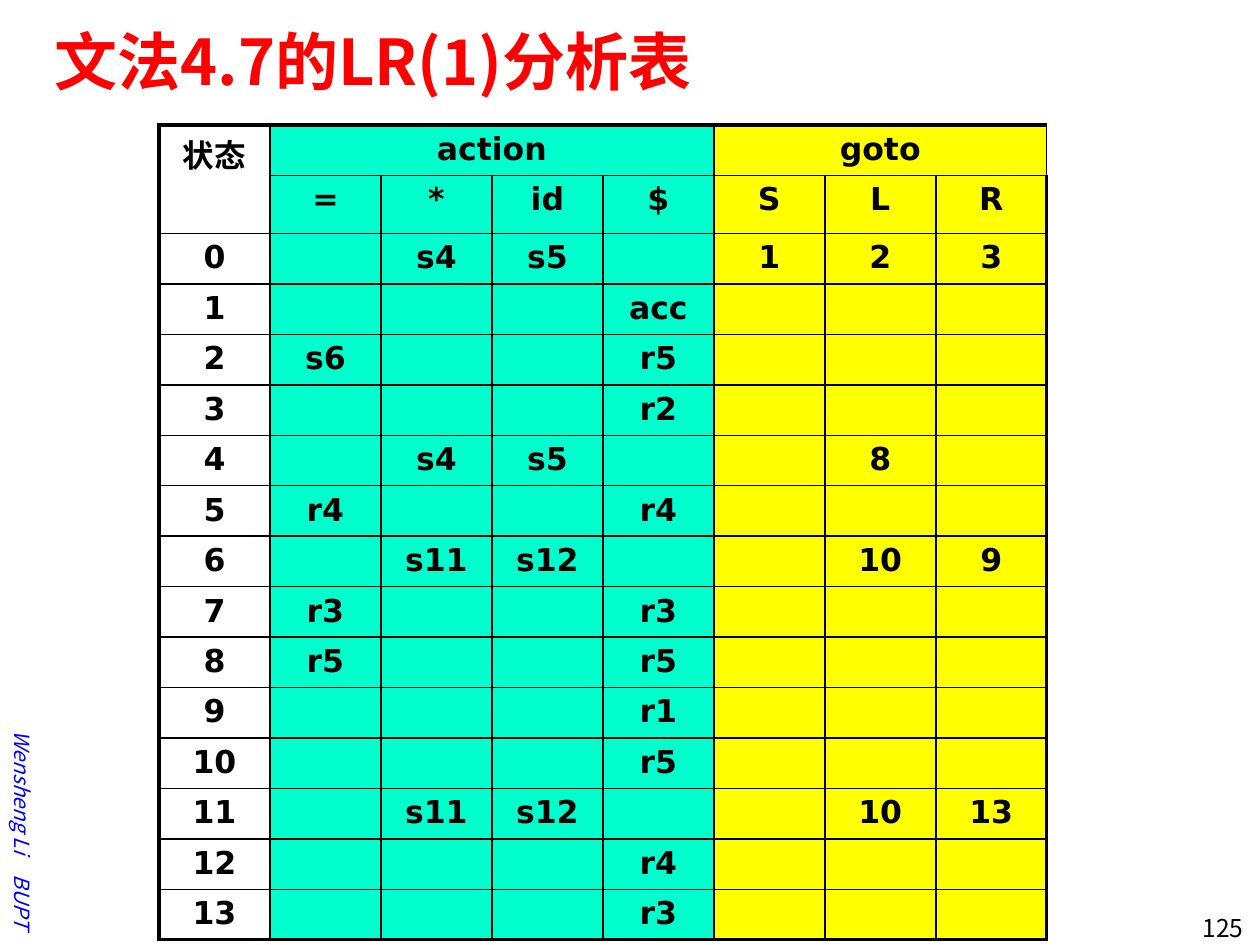
from pptx import Presentation
from pptx.dml.color import RGBColor
from pptx.enum.text import MSO_ANCHOR, PP_ALIGN
from pptx.oxml import parse_xml
from pptx.oxml.ns import nsdecls
from pptx.util import Pt

EMU_PER_PX = 914400 / 126

BLACK = RGBColor(0x00, 0x00, 0x00)
RED = RGBColor(0xFF, 0x00, 0x00)
BLUE = RGBColor(0x00, 0x00, 0xFF)
ACTION_GREEN = RGBColor(0x00, 0xFF, 0xCC)
GOTO_YELLOW = RGBColor(0xFF, 0xFF, 0x00)

CJK_FONT = "Noto Sans CJK SC"
TITLE_FORMAT = {"size": Pt(36), "bold": True, "name": CJK_FONT}
FOOTER_FORMAT = {"size": Pt(12), "italic": True, "name": CJK_FONT}
NUMBER_FORMAT = {"size": Pt(14), "name": CJK_FONT}
CELL_FORMAT = {"size": Pt(18), "bold": True, "name": "DejaVu Sans"}

# Column ranges of the parsing table
SYMBOLS = ["=", "*", "id", "$", "S", "L", "R"]
ACTION_COLUMNS = range(1, 5)
HEADER_ROWS = 2

# Entries of each state, keyed by grammar symbol
STATES = [
    {"*": "s4", "id": "s5", "S": "1", "L": "2", "R": "3"},
    {"$": "acc"},
    {"=": "s6", "$": "r5"},
    {"$": "r2"},
    {"*": "s4", "id": "s5", "L": "8"},
    {"=": "r4", "$": "r4"},
    {"*": "s11", "id": "s12", "L": "10", "R": "9"},
    {"=": "r3", "$": "r3"},
    {"=": "r5", "$": "r5"},
    {"$": "r1"},
    {"$": "r5"},
    {"*": "s11", "id": "s12", "L": "10", "R": "13"},
    {"$": "r4"},
    {"$": "r3"},
]


def px(length):
    return round(length * EMU_PER_PX)


def write(paragraph, text, color, formats, align):
    paragraph.alignment = align
    run = paragraph.add_run()
    run.text = text
    run.font.color.rgb = color
    for attribute, value in formats.items():
        setattr(run.font, attribute, value)
    # East Asian characters take the CJK face
    run.font._element.append(
        parse_xml(f'<a:ea {nsdecls("a")} typeface="{CJK_FONT}"/>'))


def add_text(slide, box, text, color, formats, align, anchor=MSO_ANCHOR.MIDDLE):
    textbox = slide.shapes.add_textbox(*map(px, box))
    frame = textbox.text_frame
    frame.word_wrap = True
    frame.vertical_anchor = anchor
    write(frame.paragraphs[0], text, color, formats, align)
    return textbox


def set_borders(cell, widths):
    properties = cell._tc.get_or_add_tcPr()
    for position, (side, width) in enumerate(widths.items()):
        line = parse_xml(
            f'<a:ln{side} {nsdecls("a")} w="{Pt(width)}"><a:solidFill>'
            f'<a:srgbClr val="{BLACK}"/></a:solidFill></a:ln{side}>')
        properties.insert(position, line)


def fill_cell(cell, column):
    if column == 0:
        cell.fill.background()
        return
    cell.fill.solid()
    in_action = column in ACTION_COLUMNS
    cell.fill.fore_color.rgb = ACTION_GREEN if in_action else GOTO_YELLOW


def table_texts():
    groups = ["状态", "action", "", "", "", "goto", "", ""]
    rows = [groups, [""] + SYMBOLS]
    for state, entries in enumerate(STATES):
        rows.append([str(state)] + [entries.get(s, "") for s in SYMBOLS])
    return rows


def add_parsing_table(slide):
    texts = table_texts()
    last_row, last_column = len(texts) - 1, len(SYMBOLS)
    table = slide.shapes.add_table(
        len(texts), last_column + 1,
        px(159), px(125), px(888), px(813)).table
    table.first_row = table.horz_banding = False

    # Two header rows, then equal rows for the states
    state_height = px(705) // len(STATES)
    heights = [px(50), px(58)] + [state_height] * len(STATES)
    for row, height in zip(table.rows, heights):
        row.height = height

    for r, row_texts in enumerate(texts):
        for c, text in enumerate(row_texts):
            cell = table.cell(r, c)
            fill_cell(cell, c)
            set_borders(cell, {
                "L": 2.25 if c == 0 else 1,
                "R": 2.25 if c == last_column else 1,
                "T": 2.25 if r == 0 else 1,
                "B": 2.25 if r == last_row else 1,
            })
            if text:
                write(cell.text_frame.paragraphs[0], text, BLACK,
                      CELL_FORMAT, PP_ALIGN.CENTER)
            else:
                cell.margin_top = cell.margin_bottom = 0

    # Header spans: state, action, goto
    table.cell(0, 0).merge(table.cell(HEADER_ROWS - 1, 0))
    table.cell(0, 1).merge(table.cell(0, ACTION_COLUMNS[-1]))
    table.cell(0, ACTION_COLUMNS[-1] + 1).merge(table.cell(0, last_column))


def main():
    presentation = Presentation()
    presentation.slide_width = px(1260)
    presentation.slide_height = px(945)
    slide = presentation.slides.add_slide(presentation.slide_layouts[6])

    # Author line along the left edge
    author = add_text(slide, (-144, 756, 333, 38), "Wensheng Li　BUPT",
                      BLUE, FOOTER_FORMAT, PP_ALIGN.RIGHT)
    author.rotation = 90

    # Page number
    add_text(slide, (1133, 907, 123, 38), "125", BLACK, NUMBER_FORMAT,
             PP_ALIGN.RIGHT, MSO_ANCHOR.TOP)

    # Title and table
    add_text(slide, (42, 21, 1187, 79), "文法4.7的LR(1)分析表",
             RED, TITLE_FORMAT, PP_ALIGN.LEFT)
    add_parsing_table(slide)

    presentation.save("out.pptx")


if __name__ == "__main__":
    main()
